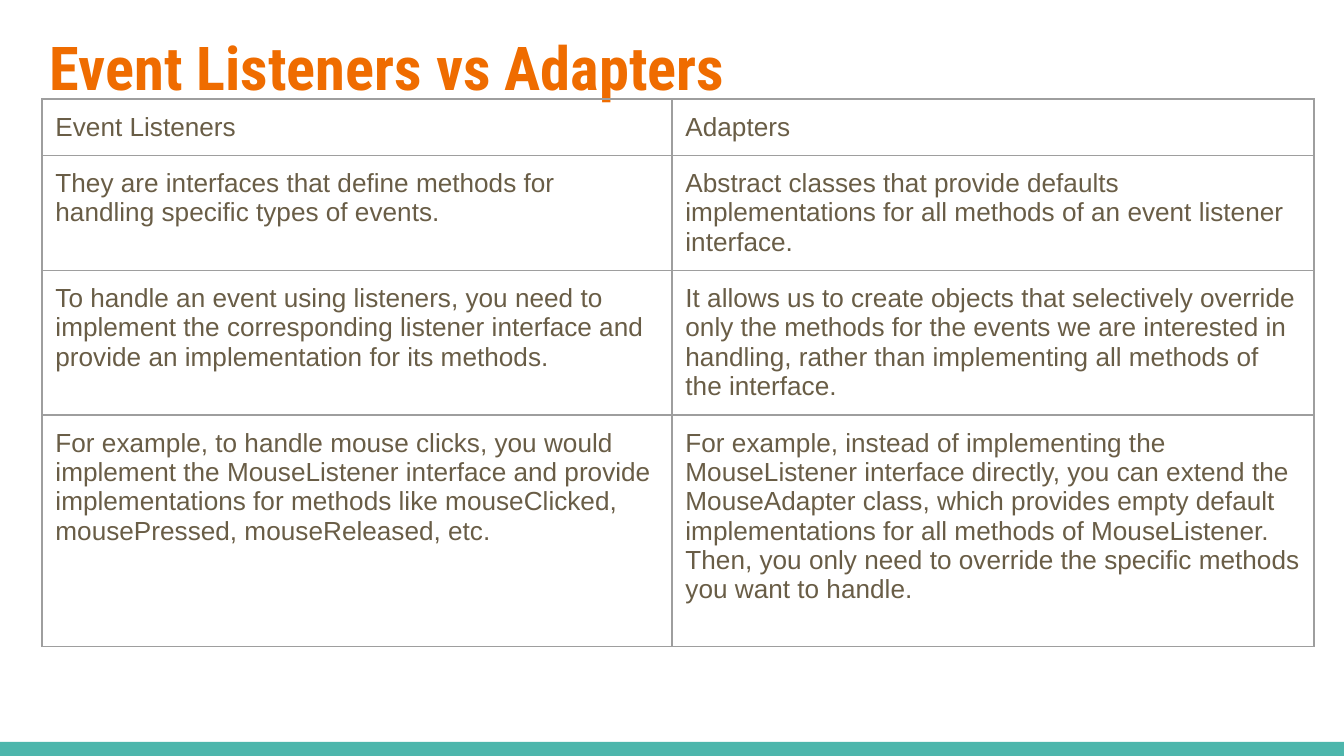
from lxml import etree
from pptx import Presentation
from pptx.dml.color import RGBColor
from pptx.enum.shapes import MSO_SHAPE
from pptx.enum.text import MSO_ANCHOR, PP_ALIGN
from pptx.oxml.ns import qn
from pptx.util import Pt

RECTANGLE = MSO_SHAPE.RECTANGLE
TOP, MIDDLE = MSO_ANCHOR.TOP, MSO_ANCHOR.MIDDLE
LEFT = PP_ALIGN.LEFT
TITLE_ONLY = 5
WIDTH, HEIGHT = 720, 405
INSET = 7.2

COMPARISON = [
    ("Event Listeners", "Adapters"),
    ("They are interfaces that define methods for handling specific types of events.",
     "Abstract classes that provide defaults implementations for all methods of an "
     "event listener interface."),
    ("To handle an event using listeners, you need to implement the corresponding "
     "listener interface and provide an implementation for its methods.",
     "It allows us to create objects that selectively override only the methods for "
     "the events we are interested in handling, rather than implementing all methods "
     "of the interface."),
    ("For example, to handle mouse clicks, you would implement the MouseListener "
     "interface and provide implementations for methods like mouseClicked, "
     "mousePressed, mouseReleased, etc.",
     "For example, instead of implementing the MouseListener interface directly, you "
     "can extend the MouseAdapter class, which provides empty default implementations "
     "for all methods of MouseListener. Then, you only need to override the specific "
     "methods you want to handle."),
]


def color(value):
    return RGBColor.from_string(value)


def write(frame, text, *, font, size, ink, bold=False):
    frame.word_wrap = True
    paragraph = frame.paragraphs[0]
    paragraph.alignment = LEFT
    run = paragraph.add_run()
    run.text = text
    run.font.name = font
    run.font.size = Pt(size)
    run.font.bold = bold
    run.font.color.rgb = color(ink)


def pad(box):
    box.margin_left = box.margin_right = Pt(INSET)
    box.margin_top = box.margin_bottom = Pt(INSET)


class Deck:
    accent = "EF6C00"
    band = "4DB6AC"
    ink = "695D46"
    rule = "9E9E9E"
    rule_width = 0.75
    heading_font = "Roboto Condensed"
    body_font = "Arial"

    def __init__(self):
        self.presentation = Presentation()
        self.presentation.slide_width = Pt(WIDTH)
        self.presentation.slide_height = Pt(HEIGHT)
        layout = self.presentation.slide_layouts[TITLE_ONLY]
        self.slide = self.presentation.slides.add_slide(layout)

    def footer_band(self, height):
        band = self.slide.shapes.add_shape(
            RECTANGLE, Pt(0), Pt(HEIGHT - height), Pt(WIDTH), Pt(height))
        band.shadow.inherit = False
        band.fill.solid()
        band.fill.fore_color.rgb = color(self.band)
        band.line.fill.background()

    def title(self, text, left, top, width, height):
        heading = self.slide.shapes.title
        heading.left, heading.top = Pt(left), Pt(top)
        heading.width, heading.height = Pt(width), Pt(height)
        frame = heading.text_frame
        pad(frame)
        frame.vertical_anchor = MIDDLE
        write(frame, text, font=self.heading_font, size=32.4,
              ink=self.accent, bold=True)

    def border(self, cell):
        properties = cell._tc.get_or_add_tcPr()
        for side in ("a:lnL", "a:lnR", "a:lnT", "a:lnB"):
            line = etree.SubElement(properties, qn(side), w=str(Pt(self.rule_width)))
            fill = etree.SubElement(line, qn("a:solidFill"))
            etree.SubElement(fill, qn("a:srgbClr"), val=self.rule)

    def table(self, rows, left, top, widths, heights):
        grid = self.slide.shapes.add_table(
            len(rows), len(widths), Pt(left), Pt(top),
            Pt(sum(widths)), Pt(sum(heights))).table
        grid.first_row = grid.horz_banding = False
        for column, width in zip(grid.columns, widths):
            column.width = Pt(width)
        for row, height, texts in zip(grid.rows, heights, rows):
            row.height = Pt(height)
            for cell, text in zip(row.cells, texts):
                pad(cell)
                cell.vertical_anchor = TOP
                self.border(cell)
                cell.fill.background()
                write(cell.text_frame, text, font=self.body_font, size=14,
                      ink=self.ink)

    def save(self):
        self.presentation.save("out.pptx")


def main():
    deck = Deck()
    deck.footer_band(7.5)
    deck.title("Event Listeners vs Adapters", 19.5, 8, 671, 55.5)
    deck.table(COMPARISON, 22.5, 53, (337.5, 344), (30, 61.5, 77.5, 124))
    deck.save()


if __name__ == "__main__":
    main()
